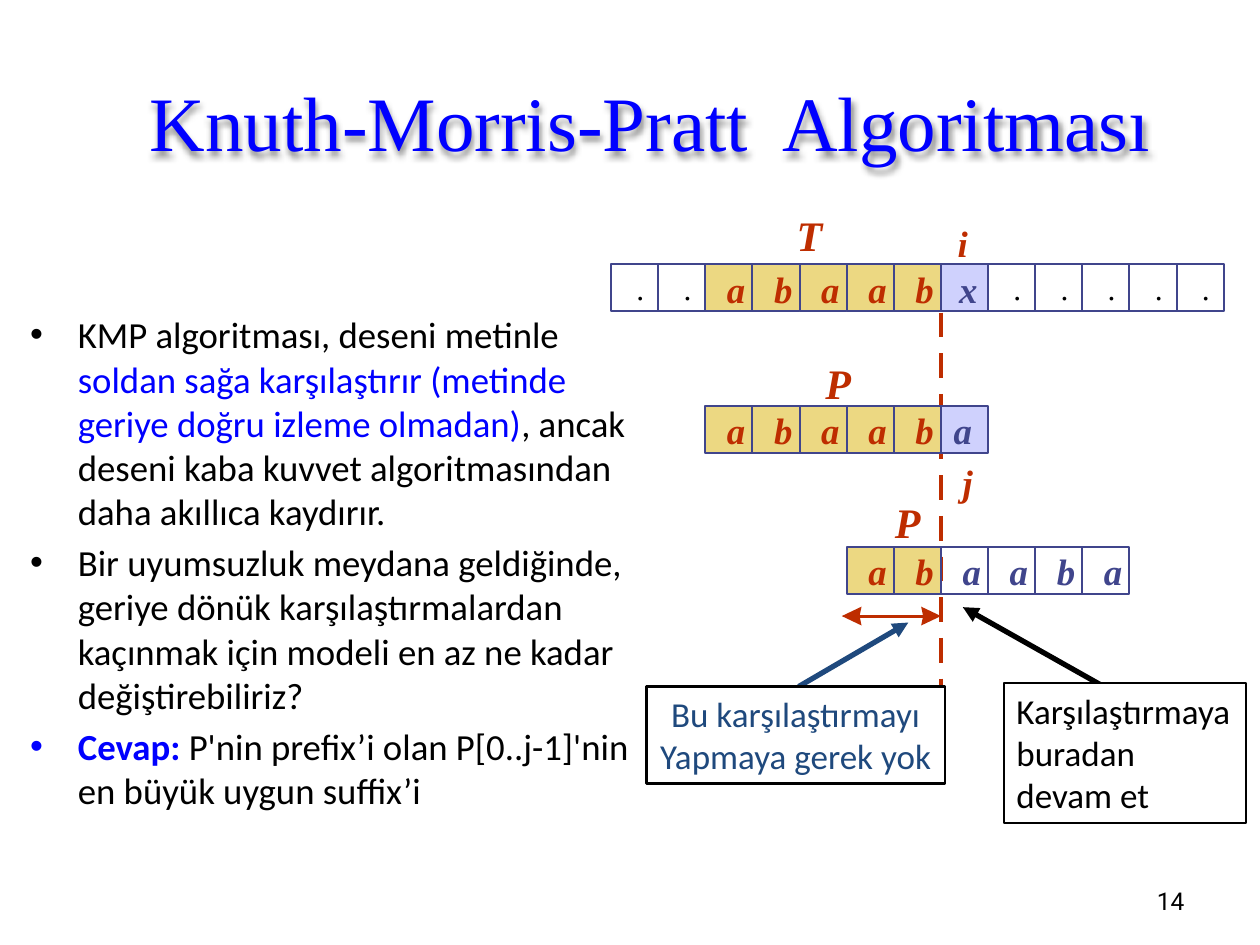
"""Build the slide on pattern shifts in the Knuth-Morris-Pratt search."""
from typing import NamedTuple

from lxml import etree
from pptx import Presentation
from pptx.dml.color import RGBColor
from pptx.enum.shapes import MSO_CONNECTOR, MSO_SHAPE
from pptx.enum.text import MSO_ANCHOR, PP_ALIGN
from pptx.oxml.ns import qn
from pptx.util import Cm, Pt

LINE, RECT = MSO_CONNECTOR.STRAIGHT, MSO_SHAPE.RECTANGLE
TOP, MIDDLE = MSO_ANCHOR.TOP, MSO_ANCHOR.MIDDLE
LEFT, CENTER, RIGHT = PP_ALIGN.LEFT, PP_ALIGN.CENTER, PP_ALIGN.RIGHT
SERIF, SANS, ROBOTO = "Times New Roman", "Calibri", "Roboto"
BLACK, WHITE, BLUE, NAVY = "000000", "FFFFFF", "0000FF", "1F497D"
RED, INDIGO, GOLD, LILAC = "BE2D00", "40458C", "ECD882", "CFD1FD"
CELL, START, SPLIT = 0.95, 12.32, 18.97


class Box(NamedTuple):
    left: float
    top: float
    width: float
    height: float


class Kind(NamedTuple):
    fill: str | None
    ink: str
    shift: float


class Row(NamedTuple):
    col: int
    top: float
    text: str
    kinds: str


class Label(NamedTuple):
    text: str
    mid: float
    top: float
    size: int


class Note(NamedTuple):
    box: Box
    lines: tuple
    ink: str
    align: PP_ALIGN


KINDS = {
    ".": Kind(None, BLACK, 0.59),
    "m": Kind(GOLD, RED, 0.62),
    "x": Kind(LILAC, INDIGO, 0.55),
    "e": Kind(LILAC, INDIGO, 0.44),
    "n": Kind(None, INDIGO, 0.62),
}
ROWS = [
    Row(0, 5.33, "..abaabx.....", "..mmmmmx....."),
    Row(2, 8.18, "abaaba", "mmmmme"),
    Row(5, 11.02, "abaaba", "mmnnnn"),
]
LABELS = [
    Label("T", 16.32, 4.09, 24),
    Label("P", 16.9, 7.09, 24),
    Label("P", 18.3, 9.88, 24),
    Label("i", 19.41, 4.45, 21),
    Label("j", 19.51, 9.27, 21),
]
NOTES = [
    Note(Box(20.24, 13.77, 4.88, 2.82), ("Karşılaştırmaya", "buradan", "devam et"), BLACK, LEFT),
    Note(Box(13.03, 13.84, 6.02, 1.96), ("Bu karşılaştırmayı", "Yapmaya gerek yok"), NAVY, CENTER),
]
POINTS = [
    [
        ("KMP algoritması, deseni metinle ", BLACK, False),
        ("soldan sağa karşılaştırır (metinde geriye doğru izleme olmadan)", BLUE, False),
        (", ancak deseni kaba kuvvet algoritmasından daha akıllıca kaydırır.", BLACK, False),
    ],
    [("Bir uyumsuzluk meydana geldiğinde, geriye dönük karşılaştırmalardan "
      "kaçınmak için modeli en az ne kadar değiştirebiliriz?", BLACK, False)],
    [
        ("Cevap: ", BLUE, True),
        ("P'nin prefix’i olan P[0..j-1]'nin en büyük uygun suffix’i", BLACK, False),
    ],
]


def paint(form, code: str) -> None:
    """Set a solid hex colour on a fill."""
    form.solid()
    form.fore_color.rgb = RGBColor.from_string(code)


def write(frame, text: str, *, size: float, font: str, ink: str, bold=False,
          slant=False, align=LEFT, fresh=True):
    """Add a run, in a new paragraph when fresh, and return its paragraph."""
    para = frame.paragraphs[-1]
    if fresh and para.runs:
        para = frame.add_paragraph()
    para.alignment = align
    run = para.add_run()
    run.text = text
    run.font.size, run.font.name = Pt(size), font
    run.font.bold, run.font.italic = bold, slant
    paint(run.font.fill, ink)
    return para


def add_text(slide, box: Box, *, anchor=TOP, wrap=True, inset: float | None = None):
    """Add an empty text box."""
    shape = slide.shapes.add_textbox(*map(Cm, box))
    frame = shape.text_frame
    frame.word_wrap, frame.vertical_anchor = wrap, anchor
    if inset is not None:
        frame.margin_left = frame.margin_right = Cm(inset)
        frame.margin_top = frame.margin_bottom = Cm(inset)
    return shape


def add_rect(slide, box: Box, fill: str | None, ink: str, width: float):
    """Add an outlined rectangle."""
    rect = slide.shapes.add_shape(RECT, *map(Cm, box))
    rect.shadow.inherit = False
    if fill:
        paint(rect.fill, fill)
    else:
        rect.fill.background()
    paint(rect.line.fill, ink)
    rect.line.width = Pt(width)
    return rect


def add_line(slide, ends: tuple, ink: str, width: float, arrow=False) -> None:
    """Add a straight line, with an arrowhead at its end if asked."""
    line = slide.shapes.add_connector(LINE, *map(Cm, ends))
    paint(line.line.fill, ink)
    line.line.width = Pt(width)
    props = line._element.spPr
    if arrow:
        etree.SubElement(props.find(qn("a:ln")), qn("a:tailEnd"), type="triangle")
    etree.SubElement(props, qn("a:effectLst"))


def add_head(slide, tip: float, mid: float, way: int) -> None:
    """Add a notched arrowhead that runs back from its tip."""
    back = tip + way * 0.4
    dots = [(back, mid - 0.19), (tip + way * 0.36, mid), (back, mid + 0.19)]
    form = slide.shapes.build_freeform(Cm(tip), Cm(mid))
    form.add_line_segments([(Cm(x), Cm(y)) for x, y in dots])
    head = form.convert_to_shape()
    head.shadow.inherit = False
    paint(head.fill, RED)
    head.line.fill.background()


def add_label(slide, label: Label, ink: str, bold=True) -> None:
    """Add a symbol centred on a point."""
    wide, tall, inset = (1.04, 1.27, None) if label.size == 24 else (0.4, 0.89, 0)
    box = Box(label.mid - wide / 2, label.top, wide, tall)
    frame = add_text(slide, box, wrap=False, inset=inset).text_frame
    write(frame, label.text, size=label.size, font=SERIF, ink=ink,
          bold=bold, slant=bold, align=CENTER)


def add_row(slide, row: Row) -> None:
    """Add a row of cells with their symbols."""
    for step, (text, key) in enumerate(zip(row.text, row.kinds)):
        kind = KINDS[key]
        left = START + (row.col + step) * CELL
        add_rect(slide, Box(left, row.top, CELL, CELL), kind.fill, INDIGO, 1.13)
        dot = text == "."
        label = Label(text, left + kind.shift, row.top + (0.1 if dot else 0.04), 18 if dot else 21)
        add_label(slide, label, kind.ink, not dot)


def add_title(slide) -> None:
    """Add the title with its soft shadow."""
    shape = add_text(slide, Box(1.9, 0.84, 22.43, 3.18), anchor=MIDDLE)
    write(shape.text_frame, "Knuth-Morris-Pratt  Algoritması", size=44, font=SERIF,
          ink=BLUE, align=CENTER)
    group = etree.SubElement(shape._element.spPr, qn("a:effectLst"))
    shade = etree.SubElement(group, qn("a:outerShdw"), blurRad="38100", dist="38100",
                             dir="5400000", algn="tl", rotWithShape="0")
    tone = etree.SubElement(shade, qn("a:srgbClr"), val=BLACK)
    etree.SubElement(tone, qn("a:alpha"), val="43000")


def add_points(slide) -> None:
    """Add the bullet list."""
    frame = add_text(slide, Box(0.36, 6.17, 12.62, 12.9)).text_frame
    for point in POINTS:
        for step, (text, ink, bold) in enumerate(point):
            para = write(frame, text, size=21, font=SANS, ink=ink, bold=bold, fresh=step == 0)
        para.space_before = Pt(4.2)
        props = para._p.get_or_add_pPr()
        props.set("marL", str(Cm(0.96)))
        props.set("indent", str(-Cm(0.96)))
        etree.SubElement(props, qn("a:buFont"), typeface="Arial")
        etree.SubElement(props, qn("a:buChar"), char="•")


def main() -> None:
    """Build and save the slide."""
    deck = Presentation()
    deck.slide_width, deck.slide_height = Cm(25.4), Cm(19.05)
    slide = deck.slides.add_slide(deck.slide_layouts[6])
    add_title(slide)
    add_points(slide)
    page = add_text(slide, Box(18.21, 17.65, 5.92, 1.02), anchor=MIDDLE)
    write(page.text_frame, "14", size=14, font=ROBOTO, ink=BLACK, align=RIGHT)
    for step in range(10):
        top = 6.3 + step * 0.82
        add_line(slide, (SPLIT, top, SPLIT, min(top + 0.5, 13.84)), RED, 1.75)
    for row in ROWS:
        add_row(slide, row)
    add_line(slide, (17.27, 12.42, 18.67, 12.42), RED, 1.75)
    add_head(slide, 16.97, 12.42, 1)
    add_head(slide, SPLIT, 12.42, -1)
    add_line(slide, (16.1, 13.84, 18.31, 12.55), NAVY, 3, True)
    add_line(slide, (22.25, 13.84, 19.41, 12.24), BLACK, 3, True)
    for note in NOTES:
        frame = add_rect(slide, note.box, WHITE, BLACK, 1.5).text_frame
        frame.word_wrap, frame.vertical_anchor = False, TOP
        for text in note.lines:
            write(frame, text, size=20, font=SANS, ink=note.ink, align=note.align)
    for label in LABELS:
        add_label(slide, label, RED)
    deck.save("out.pptx")


if __name__ == "__main__":
    main()
